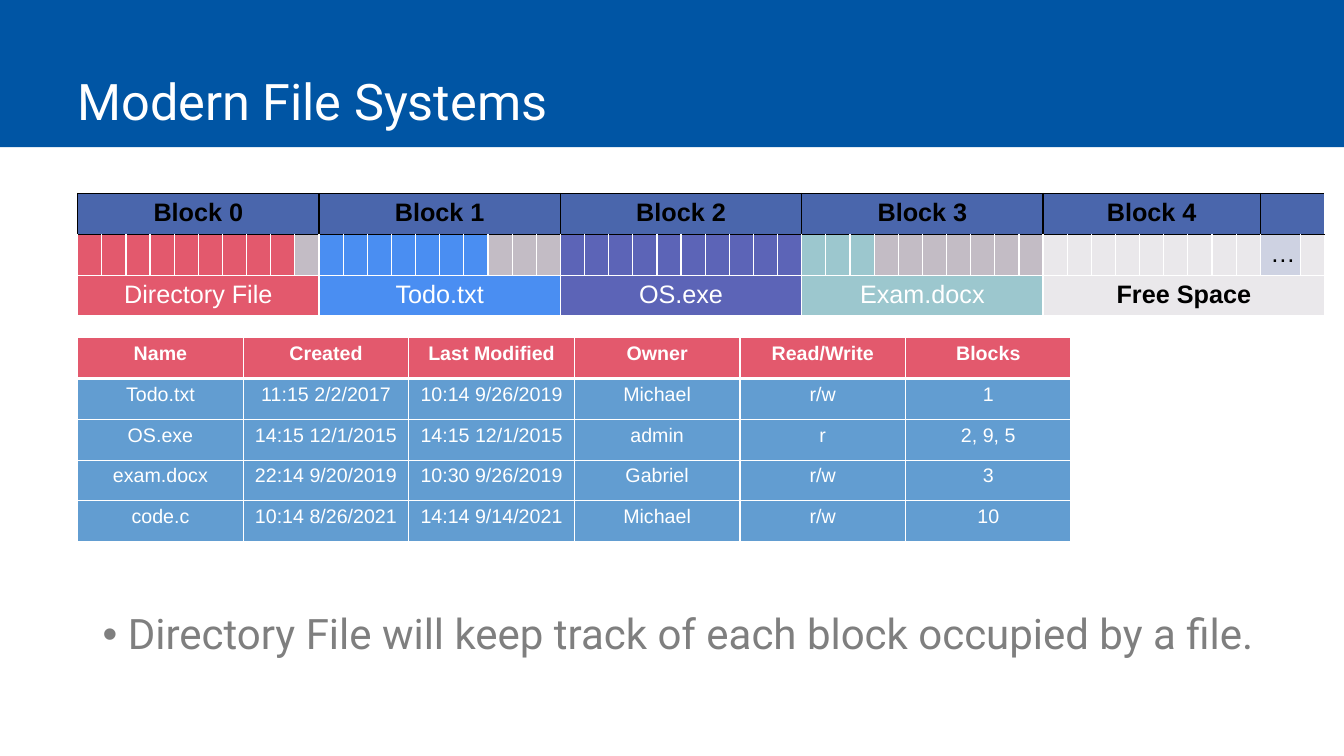
from lxml import etree
from pptx import Presentation
from pptx import util as u
from pptx.dml.color import RGBColor
from pptx.enum import shapes, text
from pptx.oxml import ns

WHITE, BLACK, GREY = "FFFFFF", "000000", "7F7F7F"
BLUE, HEAD, BODY = "0055A4", "4A66AC", "629DD1"
RED, AZURE, VIOLET, TEAL = "E3596D", "4A8EF2", "5C64B7", "9CC7CE"
SLACK, FREE, MORE = "C3BCC5", "EAE8EB", "CED2E2"


def tint(code):
    return RGBColor.from_string(code)


def node(parent, tag, **attrs):
    return etree.SubElement(parent, ns.qn("a:" + tag), **attrs)


def write(frame, words, size=18, font="Arial", color=WHITE, bold=False,
          align=text.PP_ALIGN.LEFT, bullet=None, space=None):
    para = frame.paragraphs[0]
    para.alignment = align
    if space:
        para.line_spacing = space
    if bullet:
        props = para._p.get_or_add_pPr()
        hang = u.Inches(0.25)
        props.set("marL", str(hang))
        props.set("indent", str(-hang))
        node(node(props, "buClr"), "srgbClr", val=color)
        node(props, "buFont", typeface="Arial")
        node(props, "buChar", char=bullet)
    run = para.add_run()
    run.text = words
    run.font.size = u.Pt(size)
    run.font.name = font
    run.font.bold = bold
    run.font.color.rgb = tint(color)


class Deck:
    """Holds the slide; all lengths are percentages of its size."""

    def __init__(self):
        self.prs = Presentation()
        self.prs.slide_width = u.Inches(13.33)
        self.prs.slide_height = u.Inches(7.5)
        self.slide = self.prs.slides.add_slide(self.prs.slide_layouts[6])

    def wide(self, share):
        return round(self.prs.slide_width * share / 100)

    def high(self, share):
        return round(self.prs.slide_height * share / 100)

    def area(self, x, y, w, h):
        return self.wide(x), self.high(y), self.wide(w), self.high(h)

    def band(self, *area, fill):
        shape = self.slide.shapes.add_shape(
            shapes.MSO_SHAPE.RECTANGLE, *self.area(*area))
        shape.shadow.inherit = False
        shape.fill.solid()
        shape.fill.fore_color.rgb = tint(fill)
        shape.line.fill.background()

    def label(self, *area, words, anchor=text.MSO_ANCHOR.TOP, **style):
        frame = self.slide.shapes.add_textbox(*self.area(*area)).text_frame
        frame.word_wrap = True
        frame.vertical_anchor = anchor
        write(frame, words, **style)

    def table(self, *area, cols, rows, row):
        area = self.area(*area)
        frame = self.slide.shapes.add_table(rows, len(cols), *area)
        grid = frame.table
        grid.first_row = grid.horz_banding = False
        for col, width in zip(grid.columns, cols):
            col.width = self.wide(width)
        for line in grid.rows:
            line.height = self.high(row)
        # Column and row changes resize the frame, so set it last
        frame.width, frame.height = area[2:]
        return grid

    def cell(self, grid, row, col, fill, words="", span=1, edges=None, **style):
        cell = grid.cell(row, col)
        if span > 1:
            cell.merge(grid.cell(row, col + span - 1))
        cell.fill.solid()
        cell.fill.fore_color.rgb = tint(fill)
        props = cell._tc.get_or_add_tcPr()
        for i, side in enumerate("LRTB"):
            color, width = (edges or {}).get(side, (WHITE, 1))
            line = node(props, "ln" + side, w=str(u.Pt(width)))
            node(node(line, "solidFill"), "srgbClr", val=color)
            props.insert(i, line)
        if words:
            write(cell.text_frame, words, align=text.PP_ALIGN.CENTER, **style)


LEFT, ROW = 5.78, 5.4
FRAME = (24.61, 43.73)  # nominal frame of both tables
BLOCK, SIZE = 17.95, 10  # block width and cells per block
DARK = (BLACK, 1)

# File, colour, cells in use
FILES = [("Directory File", RED, 9), ("Todo.txt", AZURE, 7),
         ("OS.exe", VIOLET, 10), ("Exam.docx", TEAL, 3)]

FIELDS = [
    ["Name", "Created", "Last Modified", "Owner", "Read/Write", "Blocks"],
    ["Todo.txt", "11:15 2/2/2017", "10:14 9/26/2019", "Michael", "r/w", "1"],
    ["OS.exe", "14:15 12/1/2015", "14:15 12/1/2015", "admin", "r", "2, 9, 5"],
    ["exam.docx", "22:14 9/20/2019", "10:30 9/26/2019", "Gabriel", "r/w", "3"],
    ["code.c", "10:14 8/26/2021", "14:14 9/14/2021", "Michael", "r/w", "10"],
]


def main():
    deck = Deck()

    # Title band
    deck.band(0, 0, 100, 19.47, fill=BLUE)
    deck.label(5.03, 0, 88.15, 17.87, words="Modern File Systems", size=36,
               font="Roboto", anchor=text.MSO_ANCHOR.BOTTOM)

    # Note
    deck.label(6.9, 80.5, 89.2, 16.27, size=30, font="Roboto", color=GREY,
               words="Directory File will keep track of each block occupied by a file.",
               bullet="•", space=0.9)

    # Disk map: block names, cells, files
    cols = [BLOCK / SIZE] * 51
    cols[49] = 3
    disk = deck.table(LEFT, 25.6, *FRAME, cols=cols, rows=3, row=ROW)
    for i in range(5):
        deck.cell(disk, 0, i * SIZE, HEAD, f"Block {i}", span=9 if i == 4 else SIZE,
                  edges=dict.fromkeys("LRTB", DARK), color=BLACK, bold=True)
    deck.cell(disk, 0, 49, HEAD, span=2, edges=dict.fromkeys("LTB", DARK))

    top = {"T": DARK}
    for i, (name, color, used) in enumerate(FILES):
        for j in range(SIZE):
            deck.cell(disk, 1, i * SIZE + j, color if j < used else SLACK, edges=top)
        deck.cell(disk, 2, i * SIZE, color, name, span=SIZE)
    for col in range(40, 51):
        if col == 49:
            deck.cell(disk, 1, col, MORE, "…", edges=top, color=BLACK)
        else:
            deck.cell(disk, 1, col, FREE, edges=top)
    deck.cell(disk, 2, 40, FREE, "Free Space", span=11, color=BLACK, bold=True)

    # Directory table
    index = deck.table(LEFT, 44.67, *FRAME, cols=[12.32] * 6, rows=len(FIELDS), row=ROW)
    for r, line in enumerate(FIELDS):
        first = r == 0
        for c, words in enumerate(line):
            deck.cell(index, r, c, RED if first else BODY, words, size=14, bold=first,
                      edges={"B": (WHITE, 3)} if first else {"T": (WHITE, 3 if r == 1 else 1)})

    deck.prs.save("out.pptx")


if __name__ == "__main__":
    main()
